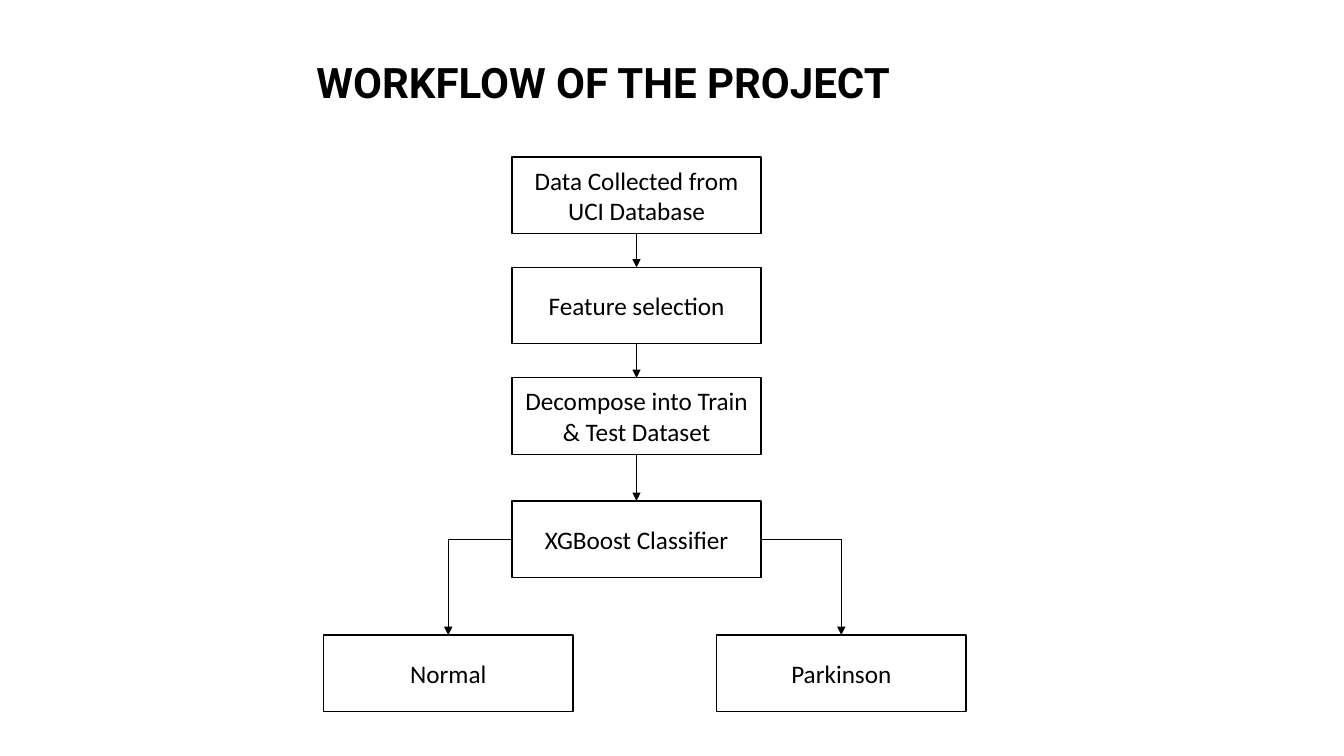
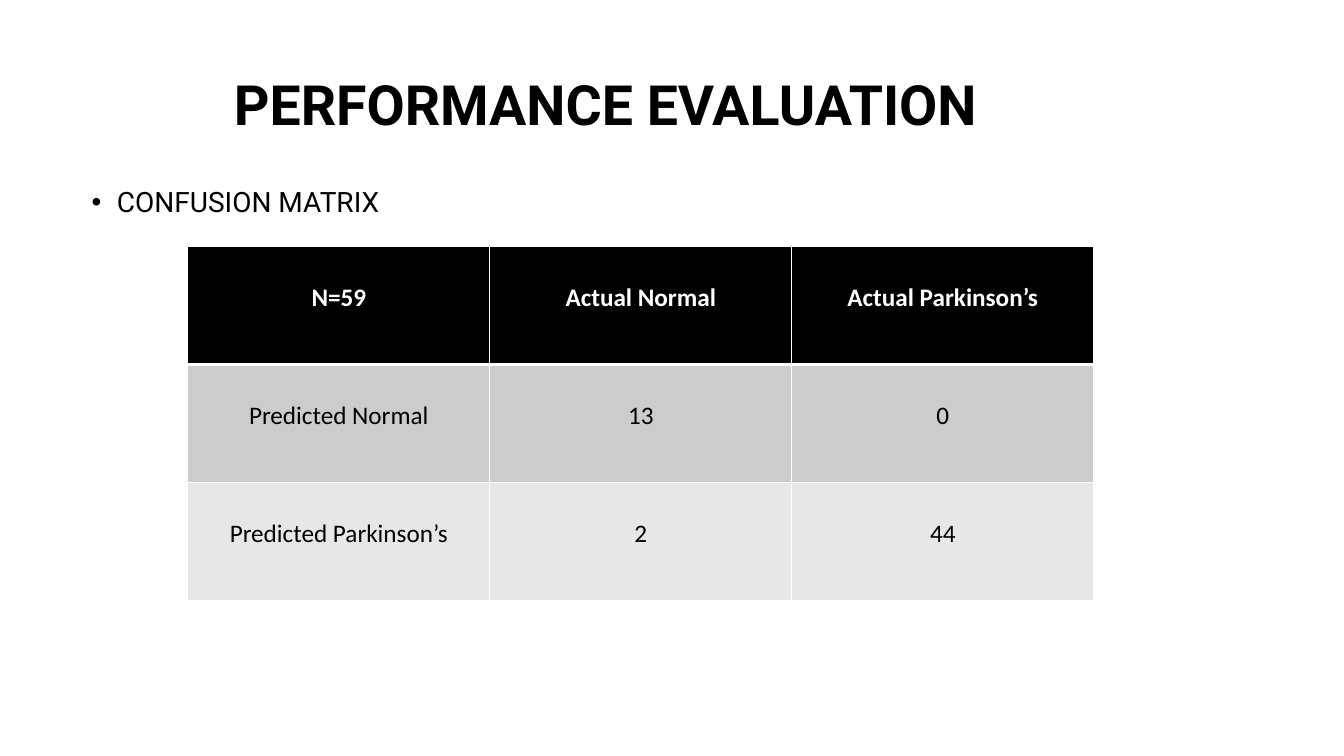
"""Build a workflow diagram slide and a confusion matrix slide."""
from lxml import etree
from pptx import Presentation
from pptx.dml.color import RGBColor
from pptx.enum.shapes import MSO_CONNECTOR, MSO_SHAPE
from pptx.enum.text import MSO_ANCHOR, PP_ALIGN
from pptx.oxml.ns import qn
from pptx.util import Pt

STRAIGHT, RECTANGLE = MSO_CONNECTOR.STRAIGHT, MSO_SHAPE.RECTANGLE
TOP, MIDDLE = MSO_ANCHOR.TOP, MSO_ANCHOR.MIDDLE
LEFT, CENTER = PP_ALIGN.LEFT, PP_ALIGN.CENTER
SIDE_TOP, SIDE_LEFT, SIDE_BOTTOM, SIDE_RIGHT = range(4)

BLACK = RGBColor(0x00, 0x00, 0x00)
WHITE = RGBColor(0xFF, 0xFF, 0xFF)
ROW_FILLS = [BLACK, RGBColor(0xCC, 0xCC, 0xCC), RGBColor(0xE7, 0xE7, 0xE7)]
HEADING_FONT, BODY_FONT = "Roboto", "Calibri"

WORKFLOW_TITLE = ("WORKFLOW OF THE PROJECT", (219, 33, 471, 55), 30)
STEPS = [
    ("Data Collected from UCI Database", 112.2),
    ("Feature selection", 191),
    ("Decompose into Train & Test Dataset", 269.9),
    ("XGBoost Classifier", 357.8),
]
OUTCOMES = [("Normal", 320.2, SIDE_LEFT), ("Parkinson", 601, SIDE_RIGHT)]
STEP_CENTER, OUTCOME_TOP = 454.7, 453.6
BOX_WIDTH, BOX_HEIGHT = 178, 54.6

EVALUATION_TITLE = ("PERFORMANCE EVALUATION", (160, 39, 592, 76), 39.6)
MATRIX_HEADING = ("CONFUSION MATRIX", (58.4, 131, 235, 29.5), 20)
MATRIX = [
    ["N=59", "Actual Normal", "Actual Parkinson’s"],
    ["Predicted Normal", "13", "0"],
    ["Predicted Parkinson’s", "2", "44"],
]
MATRIX_LEFT, MATRIX_TOP, COLUMN_WIDTH, ROW_HEIGHT = 134.2, 176, 215.7, 84.4
CELL_TEXT_DROP = 25.6


def style(paragraph, font, size, color=BLACK, bold=False, align=CENTER):
    paragraph.alignment = align
    paragraph.font.name = font
    paragraph.font.size = Pt(size)
    paragraph.font.color.rgb = color
    paragraph.font.bold = bold


def add_heading(slide, text, place, size, bold=True, anchor=MIDDLE):
    frame = slide.shapes.add_textbox(*map(Pt, place)).text_frame
    frame.word_wrap = True
    frame.vertical_anchor = anchor
    paragraph = frame.paragraphs[0]
    paragraph.text = text
    paragraph.line_spacing = 0.9
    style(paragraph, HEADING_FONT, size, bold=bold, align=LEFT)
    return paragraph


def add_bullet(paragraph, indent):
    properties = paragraph._p.get_or_add_pPr()
    properties.set("marL", str(Pt(indent)))
    properties.set("indent", str(-Pt(indent)))
    etree.SubElement(properties, qn("a:buFont"), typeface="Arial")
    etree.SubElement(properties, qn("a:buChar"), char="•")


def add_box(slide, text, center, top):
    box = slide.shapes.add_shape(RECTANGLE, Pt(center - BOX_WIDTH / 2), Pt(top),
                                 Pt(BOX_WIDTH), Pt(BOX_HEIGHT))
    box.shadow.inherit = False
    box.fill.solid()
    box.fill.fore_color.rgb = WHITE
    box.line.color.rgb = BLACK
    box.line.width = Pt(1)
    box.text_frame.word_wrap = True
    box.text_frame.vertical_anchor = MIDDLE
    box.text_frame.text = text
    style(box.text_frame.paragraphs[0], BODY_FONT, 18)
    return box


def add_link(slide, start, end, begin=None, finish=None, arrow=True):
    link = slide.shapes.add_connector(STRAIGHT, *map(Pt, start + end))
    if begin:
        link.begin_connect(*begin)
    if finish:
        link.end_connect(*finish)
    link.line.color.rgb = BLACK
    link.line.width = Pt(0.5)
    if arrow:
        etree.SubElement(link.line._get_or_add_ln(), qn("a:tailEnd"), type="triangle")
    etree.SubElement(link._element.spPr, qn("a:effectLst"))


def add_border(cell, side, width):
    line = etree.SubElement(cell._tc.get_or_add_tcPr(), qn(f"a:ln{side}"), w=str(Pt(width)))
    fill = etree.SubElement(line, qn("a:solidFill"))
    etree.SubElement(fill, qn("a:srgbClr"), val=str(WHITE))


def build_workflow(slide):
    add_heading(slide, *WORKFLOW_TITLE)
    steps = [add_box(slide, text, STEP_CENTER, top) for text, top in STEPS]
    for (_, top), (_, next_top), step, next_step in zip(STEPS, STEPS[1:], steps, steps[1:]):
        add_link(slide, (STEP_CENTER, top + BOX_HEIGHT), (STEP_CENTER, next_top),
                 (step, SIDE_BOTTOM), (next_step, SIDE_TOP))

    classifier = steps[-1]
    branch_y = STEPS[-1][1] + BOX_HEIGHT / 2
    for text, center, side in OUTCOMES:
        outcome = add_box(slide, text, center, OUTCOME_TOP)
        corner = (center, branch_y)
        add_link(slide, (STEP_CENTER, branch_y), corner, begin=(classifier, side), arrow=False)
        add_link(slide, corner, (center, OUTCOME_TOP), finish=(outcome, SIDE_TOP))


def build_evaluation(slide):
    add_heading(slide, *EVALUATION_TITLE)
    add_bullet(add_heading(slide, *MATRIX_HEADING, bold=False, anchor=TOP), 18)
    rows, columns = len(MATRIX), len(MATRIX[0])
    table = slide.shapes.add_table(rows, columns, Pt(MATRIX_LEFT), Pt(MATRIX_TOP),
                                   Pt(columns * COLUMN_WIDTH), Pt(rows * ROW_HEIGHT)).table
    for row, (texts, fill) in enumerate(zip(MATRIX, ROW_FILLS)):
        header = row == 0
        for column, text in enumerate(texts):
            cell = table.cell(row, column)
            cell.text = text
            cell.margin_top = Pt(CELL_TEXT_DROP)
            style(cell.text_frame.paragraphs[0], BODY_FONT, 18,
                  WHITE if header else BLACK, bold=header)
            for side, width in (("L", 1), ("R", 1), ("T", 3 if row == 1 else 1),
                                ("B", 3 if header else 1)):
                add_border(cell, side, width)
            cell.fill.solid()
            cell.fill.fore_color.rgb = fill


def main():
    deck = Presentation()
    deck.slide_width, deck.slide_height = Pt(960), Pt(540)
    for build in (build_workflow, build_evaluation):
        build(deck.slides.add_slide(deck.slide_layouts[6]))
    deck.save("out.pptx")


if __name__ == "__main__":
    main()
